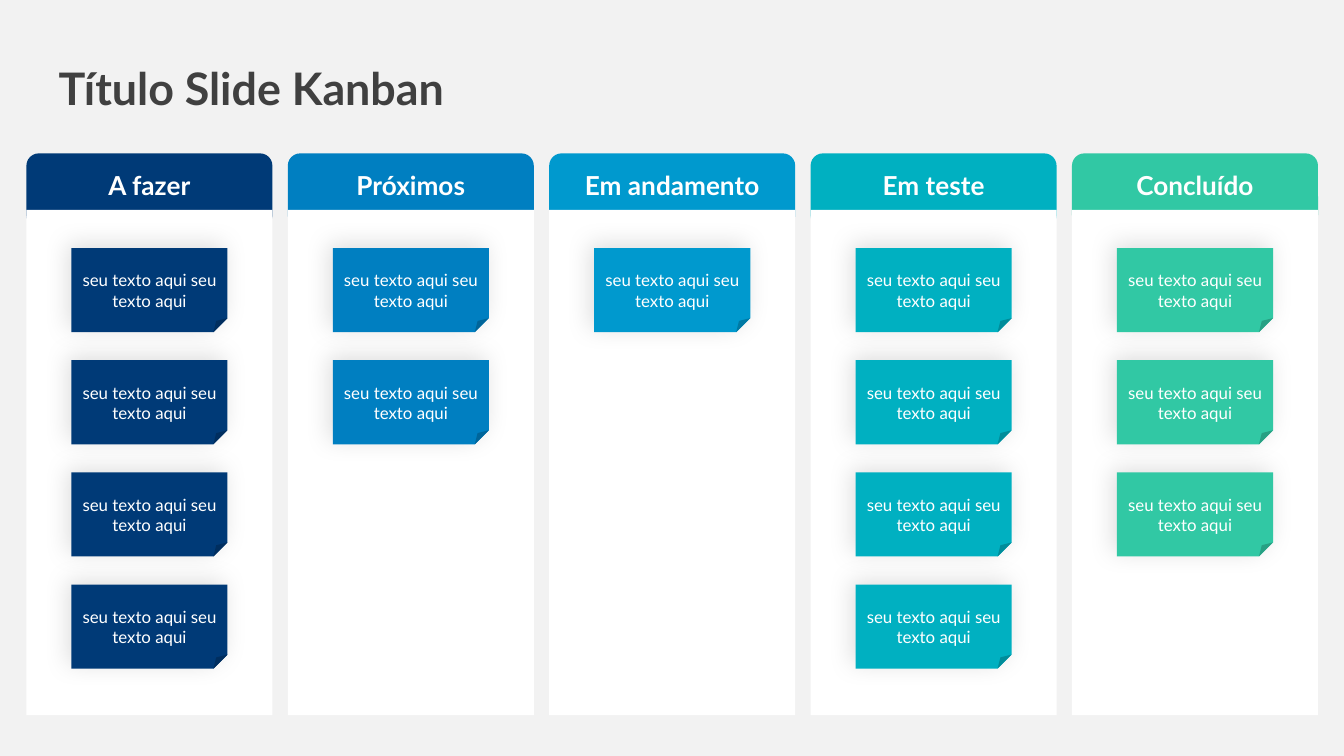
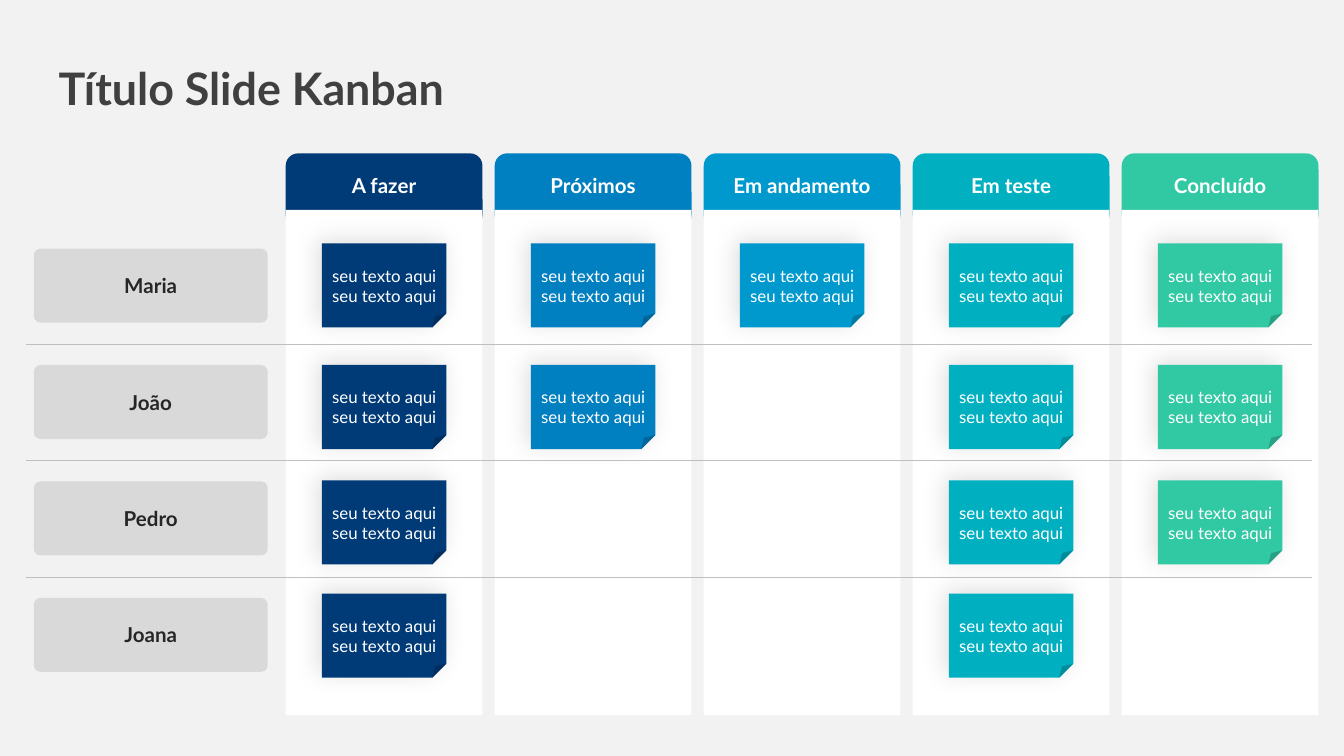
from dataclasses import dataclass

from lxml import etree
from pptx import Presentation
from pptx.dml.color import RGBColor
from pptx.enum.shapes import MSO_CONNECTOR, MSO_SHAPE
from pptx.enum.text import MSO_ANCHOR, MSO_AUTO_SIZE, PP_ALIGN
from pptx.oxml.ns import qn
from pptx.util import Cm, Pt

RECT = MSO_SHAPE.RECTANGLE
ROUND = MSO_SHAPE.ROUNDED_RECTANGLE
NOTE = MSO_SHAPE.FOLDED_CORNER
STRAIGHT = MSO_CONNECTOR.STRAIGHT
MIDDLE = MSO_ANCHOR.MIDDLE
GROW = MSO_AUTO_SIZE.SHAPE_TO_FIT_TEXT
CENTER = PP_ALIGN.CENTER

FONT = "Lato"
COLORS = {
    "back": "F2F2F2",
    "white": "FFFFFF",
    "title": "404040",
    "name": "262626",
    "label": "D9D9D9",
    "rule": "BFBFBF",
    "todo": "003A77",
    "next": "007FC1",
    "doing": "0099CE",
    "test": "00B0C1",
    "done": "31C8A4",
}
STAGES = [
    ("A fazer", "todo", 4),
    ("Próximos", "next", 2),
    ("Em andamento", "doing", 1),
    ("Em teste", "test", 4),
    ("Concluído", "done", 3),
]
PEOPLE = ["Maria", "João", "Pedro", "Joana"]
TITLE = "Título Slide Kanban"
NOTE_TEXT = "seu texto aqui seu texto aqui"
SLIDE_W, SLIDE_H = 25.4, 14.29
BOARD_TOP, HEADER_H = 2.9, 1.4
BODY_TOP, BODY_H = 3.97, 9.55
NOTE_H = 1.59
LANE_TOP, LANE_PITCH, LANE_H = 4.7, 2.2, 1.4
RULE_OFFSET = 1.81


@dataclass
class Board:
    """Horizontal grid, header size and note rows of a kanban board, in cm."""
    left: float
    pitch: float
    width: float
    note_width: float
    header_size: int
    note_tops: list
    grouped: bool

    def column_left(self, i):
        """Return the left edge of column i."""
        return self.left + i * self.pitch


def rgb(name):
    """Return the named colour."""
    return RGBColor.from_string(COLORS[name])


def add_box(shapes, kind, box, color):
    """Add a filled preset shape without outline or shadow."""
    sp = shapes.add_shape(kind, *(Cm(v) for v in box))
    sp.shadow.inherit = False
    sp.fill.solid()
    sp.fill.fore_color.rgb = rgb(color)
    sp.line.fill.background()
    return sp


def write(sp, text, size, color, bold=True, align=CENTER, insets=(0.25, 0, 0.25, 0)):
    """Write one vertically centred run into a shape."""
    tf = sp.text_frame
    tf.word_wrap = True
    tf.vertical_anchor = MIDDLE
    tf.margin_left, tf.margin_top, tf.margin_right, tf.margin_bottom = map(Cm, insets)
    p = tf.paragraphs[0]
    p.alignment = align
    r = p.add_run()
    r.text = text
    r.font.name = FONT
    r.font.size = Pt(size)
    r.font.bold = bold
    r.font.color.rgb = rgb(color)


def add_soft_shadow(sp):
    """Give a shape a faint shadow towards the upper left."""
    effects = sp._element.spPr.find(qn("a:effectLst"))
    shadow = etree.SubElement(
        effects, qn("a:outerShdw"), blurRad=str(Pt(13)), dist=str(Pt(3)),
        dir=str(225 * 60000), algn="br", rotWithShape="0")
    color = etree.SubElement(shadow, qn("a:srgbClr"), val="000000")
    etree.SubElement(color, qn("a:alpha"), val="12000")


def add_frame(prs):
    """Add a slide with the shared background and title."""
    s = prs.slides.add_slide(prs.slide_layouts[6])
    add_box(s.shapes, RECT, (0, 0, SLIDE_W, SLIDE_H), "back")
    sp = s.shapes.add_textbox(Cm(0.86), Cm(1.02), Cm(18.24), Cm(1.28))
    write(sp, TITLE, 24, "title", align=None, insets=(0.25, 0.13, 0.25, 0.13))
    sp.text_frame.auto_size = GROW
    return s


def add_column(shapes, left, width, text, color, size):
    """Add a column header with the white body covering its lower corners."""
    sp = add_box(shapes, ROUND, (left, BOARD_TOP, width, HEADER_H), color)
    write(sp, text, size, "white", insets=(0.25, 0, 0.25, 0.2))
    add_box(shapes, RECT, (left, BODY_TOP, width, BODY_H), "white")


def add_note(s, left, top, width, color):
    """Add a sticky note."""
    sp = add_box(s.shapes, NOTE, (left, top, width, NOTE_H), color)
    add_soft_shadow(sp)
    write(sp, NOTE_TEXT, 9, "white", bold=False, insets=(0.1, 0.4, 0.1, 0.13))


def add_board(s, board):
    """Add all columns, then the notes centred in them."""
    for i, (text, color, _) in enumerate(STAGES):
        shapes = s.shapes.add_group_shape().shapes if board.grouped else s.shapes
        add_column(shapes, board.column_left(i), board.width, text, color,
                   board.header_size)
    indent = (board.width - board.note_width) / 2
    for i, (_, color, count) in enumerate(STAGES):
        for top in board.note_tops[:count]:
            add_note(s, board.column_left(i) + indent, top, board.note_width, color)


def add_rule(s, left, right, y):
    """Add a thin horizontal line."""
    c = s.shapes.add_connector(STRAIGHT, Cm(left), Cm(y), Cm(right), Cm(y))
    c.line.color.rgb = rgb("rule")
    c.line.width = Pt(0.5)
    etree.SubElement(c._element.spPr, qn("a:effectLst"))


def add_lanes(s, left, width, right):
    """Add a name label per person and a rule between lanes."""
    for i, name in enumerate(PEOPLE):
        top = LANE_TOP + i * LANE_PITCH
        sp = add_box(s.shapes, ROUND, (left, top, width, LANE_H), "label")
        sp.adjustments[0] = 0.09
        write(sp, name, 11, "name")
        if i < len(PEOPLE) - 1:
            add_rule(s, left - 0.15, right, top + RULE_OFFSET)


def build_stage_slide(prs):
    """Build the board by stage."""
    tops = [4.69 + 2.12 * i for i in range(4)]
    add_board(add_frame(prs), Board(0.5, 4.94, 4.65, 2.95, 14, tops, True))


def build_people_slide(prs):
    """Build the board by stage and person."""
    s = add_frame(prs)
    add_board(s, Board(5.4, 3.95, 3.72, 2.35, 11, [4.6, 6.9, 9.08, 11.22], False))
    add_lanes(s, 0.64, 4.42, 24.79)


def main():
    """Build and save the presentation."""
    prs = Presentation()
    prs.slide_width, prs.slide_height = Cm(SLIDE_W), Cm(SLIDE_H)
    build_stage_slide(prs)
    build_people_slide(prs)
    prs.save("out.pptx")


if __name__ == "__main__":
    main()
